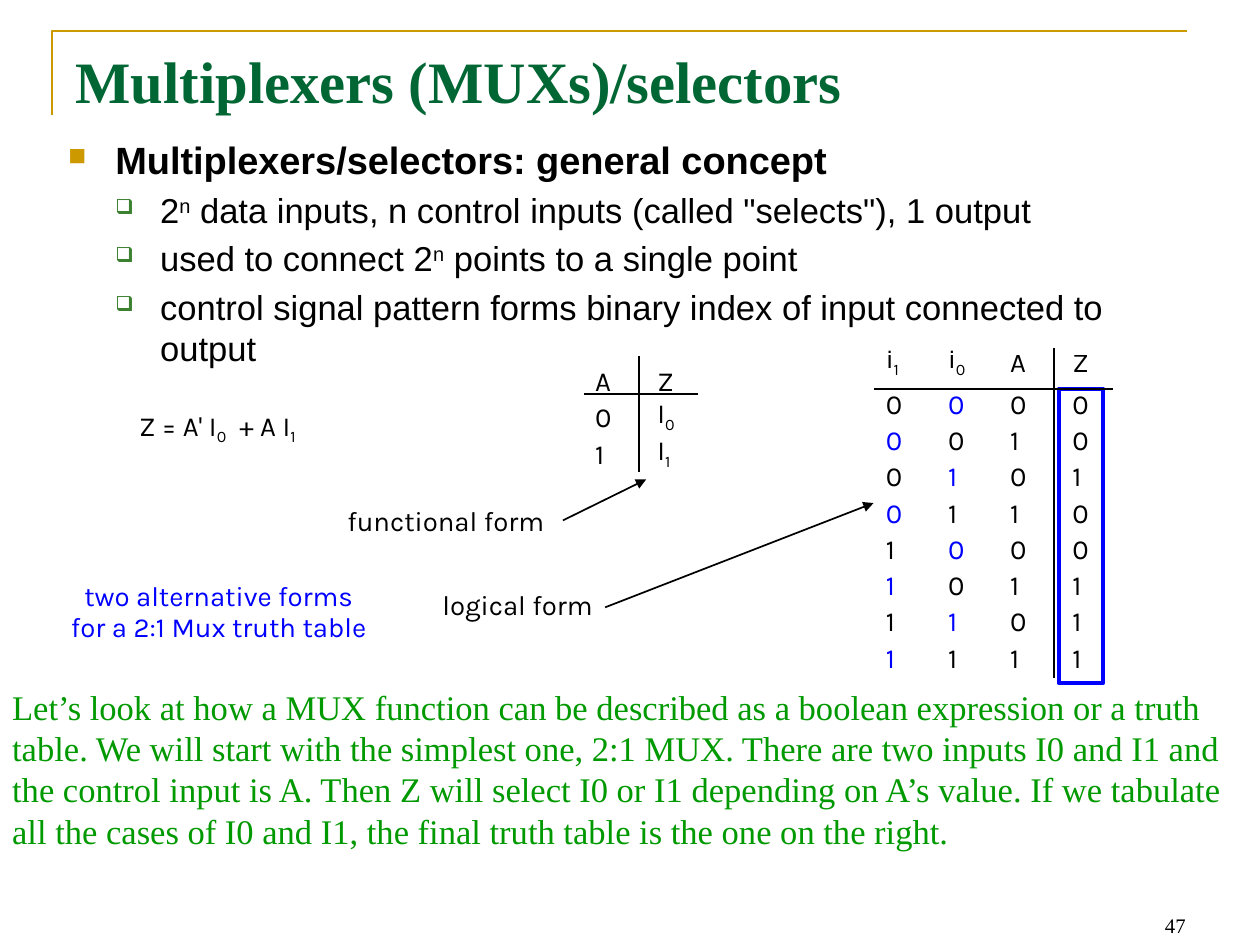
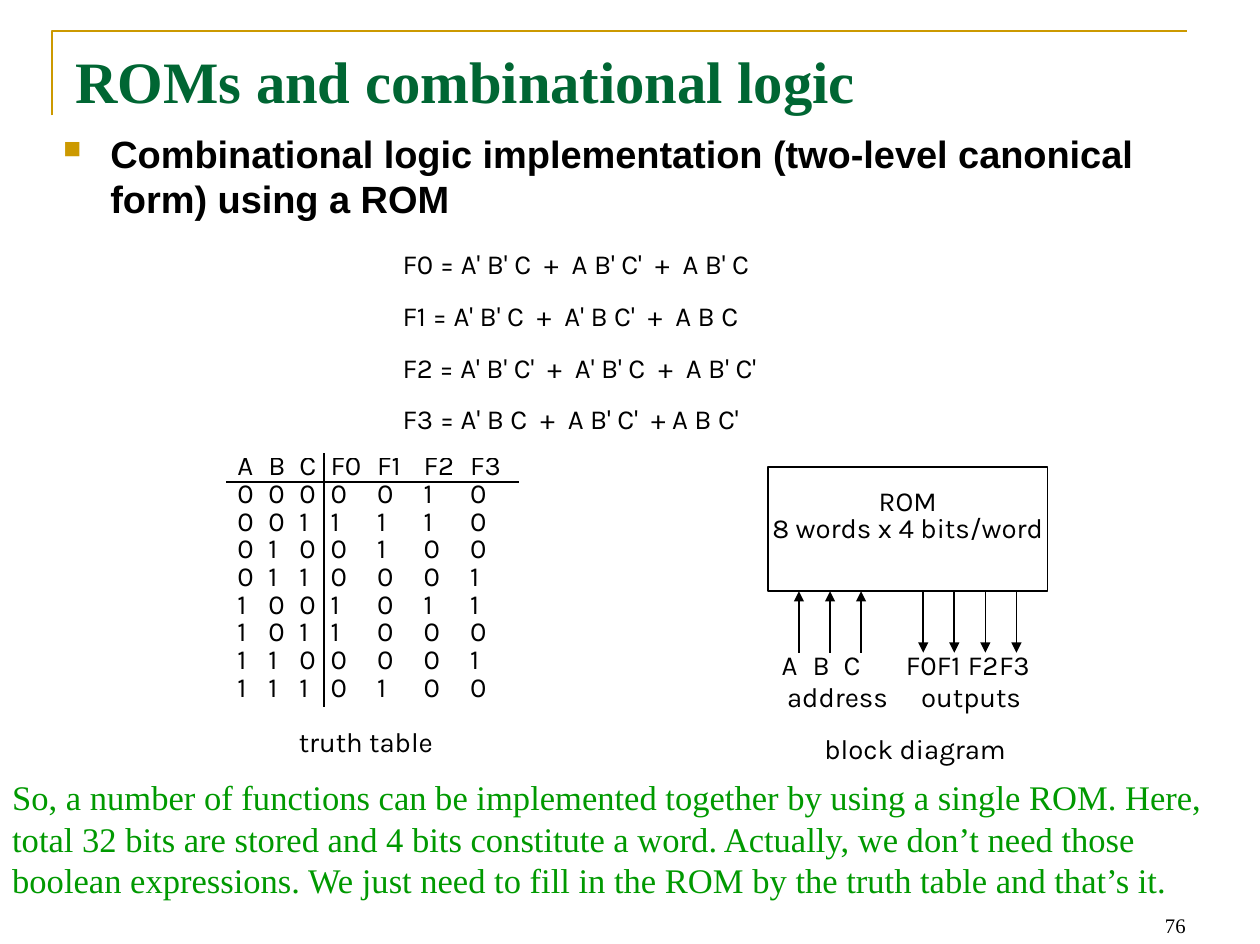
from dataclasses import dataclass, replace
from itertools import product

from lxml.etree import SubElement
from pptx import Presentation
from pptx.dml.color import RGBColor
from pptx.enum.shapes import MSO_CONNECTOR, MSO_SHAPE
from pptx.enum.text import MSO_ANCHOR, PP_ALIGN
from pptx.oxml.ns import qn
from pptx.util import Inches, Pt


@dataclass(frozen=True)
class Style:
    font: str
    size: int
    color: str
    bold: bool = False
    inset: tuple = (0.1, 0.05)  # inches
    wrap: bool = True


@dataclass(frozen=True)
class Theme:
    black: str = "000000"
    blue: str = "0000FF"
    gold: str = "CC9900"
    leaf: str = "3B812F"
    title: Style = Style("Times New Roman", 34, "006633", bold=True)
    heading: Style = Style("Arial", 22, "000000", bold=True)
    point: Style = Style("Arial", 20, "000000")
    note: Style = Style("Times New Roman", 20, "009900")
    number: Style = Style("Times New Roman", 12, "000000")
    label: Style = Style("Karla", 16, "000000", inset=(0.02, 0.03), wrap=False)


theme = Theme()
CELL = Inches(0.25)  # every position below counts columns and rows of this grid
COLUMNS, ROWS = 40.56, 30.4
LEFT, CENTER, RIGHT = PP_ALIGN.LEFT, PP_ALIGN.CENTER, PP_ALIGN.RIGHT
BASELINES = {"_": "-25000", "^": "30000"}


def write(paragraph, marked_text, style, align=LEFT, spacing=None):
    """Runs are split by |; a leading _ lowers, ^ raises and * turns a run blue."""
    paragraph.alignment = align
    if spacing:
        paragraph.line_spacing = Pt(spacing)
    for piece in marked_text.split("|"):
        mark = piece[0] if piece[0] in "_^*" else ""
        run = paragraph.add_run()
        run.text = piece[len(mark):]
        run.font.name, run.font.size, run.font.bold = style.font, Pt(style.size), style.bold
        run.font.color.rgb = RGBColor.from_string(theme.blue if mark == "*" else style.color)
        if mark in BASELINES:
            run._r.get_or_add_rPr().set("baseline", BASELINES[mark])


def add_text(slide, box, lines, style, align=LEFT, spacing=None, outline=None):
    """Text box, or a rectangle when outline gives (colour, width)."""
    place = [int(CELL * value) for value in box]
    if outline:
        shape = slide.shapes.add_shape(MSO_SHAPE.RECTANGLE, *place)
        shape.shadow.inherit = False
        shape.fill.background()
        shape.line.color.rgb = RGBColor.from_string(outline[0])
        shape.line.width = Pt(outline[1])
    else:
        shape = slide.shapes.add_textbox(*place)
    frame = shape.text_frame
    frame.word_wrap = style.wrap
    frame.vertical_anchor = MSO_ANCHOR.TOP
    frame.margin_left = frame.margin_right = Inches(style.inset[0])
    frame.margin_top = frame.margin_bottom = Inches(style.inset[1])
    for index, line in enumerate(lines):
        paragraph = frame.add_paragraph() if index else frame.paragraphs[0]
        write(paragraph, line, style, align, spacing)
    return shape


presentation = Presentation()
presentation.slide_width = int(CELL * COLUMNS)
presentation.slide_height = int(CELL * ROWS)

# Shared parts: corner rule, title, bullets, note and slide number
pages = [
    dict(
        title="Multiplexers (MUXs)/selectors",
        number="47",
        body=(1.8, 4.2),
        heading="Multiplexers/selectors: general concept",
        points=[
            '2|^n| data inputs, n control inputs (called "selects"), 1 output',
            "used to connect 2|^n| points to a single point",
            "control signal pattern forms binary index of input connected to output",
        ],
        note_top=21.88,
        note="Let’s look at how a MUX function can be described as a boolean expression "
        "or a truth table. We will start with the simplest one, 2:1 MUX. There are two "
        "inputs I0 and I1 and the control input is A. Then Z will select I0 or I1 depending "
        "on A’s value. If we tabulate all the cases of I0 and I1, the final truth table is "
        "the one on the right.",
    ),
    dict(
        title="ROMs and combinational logic",
        number="76",
        body=(1.64, 4),
        heading="Combinational logic implementation (two-level canonical form) using a ROM",
        points=[],
        note_top=24.8,
        note="So, a number of functions can be implemented together by using a single ROM. "
        "Here, total 32 bits are stored and 4 bits constitute a word. Actually, we don’t "
        "need those boolean expressions. We just need to fill in the ROM by the truth table "
        "and that’s it.",
    ),
]
for page in pages:
    slide = presentation.slides.add_slide(presentation.slide_layouts[6])
    corner = [(int(CELL * x), int(CELL * y)) for x, y in ((1.68, 3.72), (1.68, 1), (38.2, 1))]
    builder = slide.shapes.build_freeform(*corner[0])
    builder.add_line_segments(corner[1:], close=False)
    rule = builder.convert_to_shape()
    rule.shadow.inherit = False
    rule.fill.background()
    rule.line.color.rgb = RGBColor.from_string(theme.gold)
    rule.line.width = Pt(1.5)

    add_text(slide, (2.04, 1.24, 36.48, 5.04), [page["title"]], theme.title)
    number = add_text(slide, (29.08, 28.36, 9.48, 2.04), [page["number"]], theme.number, RIGHT)
    number.text_frame.vertical_anchor = MSO_ANCHOR.BOTTOM

    body = add_text(slide, (*page["body"], 36.48, 20.08), [page["heading"]], theme.heading)
    for point in page["points"]:
        paragraph = body.text_frame.add_paragraph()
        paragraph.level = 1
        paragraph.space_before = Pt(4)
        write(paragraph, point, theme.point)
    for paragraph in body.text_frame.paragraphs:
        indent, hanging, symbol, color, percent = (
            (0.74, 0.36, "❑", theme.leaf, 60) if paragraph.level
            else (0.38, 0.38, "■", theme.gold, 65)
        )
        properties = paragraph._p.get_or_add_pPr()
        properties.set("marL", str(Inches(indent)))
        properties.set("indent", str(-Inches(hanging)))
        bullet_color = SubElement(properties, qn("a:buClr"))
        SubElement(bullet_color, qn("a:srgbClr"), val=color)
        SubElement(properties, qn("a:buSzPct"), val=str(percent * 1000))
        SubElement(properties, qn("a:buChar"), char=symbol)

    add_text(slide, (0, page["note_top"], COLUMNS, 5), [page["note"]], theme.note)

mux_slide, rom_slide = presentation.slides

# Truth tables: slide, left, top, header height, column widths, row points, rows
selector_rows = [["I|_1", "I|_0", "A", "Z"]]
for high, low, control in product((0, 1), repeat=3):
    chosen = high if control else low
    selector_rows.append([
        f"*{high}" if control else str(high),
        str(low) if control else f"*{low}",
        str(control),
        str(chosen),
    ])
rom_words = ["0010", "1110", "0100", "0001", "1011", "1000", "0001", "0100"]
rom_pins = ["A", "B", "C", "F0", "F1", "F2", "F3"]
rom_rows = [rom_pins] + [list(f"{address:03b}{word}") for address, word in enumerate(rom_words)]
tables = [
    (mux_slide, 19.08, 12, 0.84, [2, 2], 21, [["A", "Z"], ["0", "I|_0"], ["1", "I|_1"]]),
    (mux_slide, 28.44, 11.4, 1, [2] * 4, 21, selector_rows),
    (rom_slide, 7.56, 14.72, 0.84, [1] * 3 + [1.5] * 4, 16, rom_rows),
]
HEADER_SPACING = 15
for slide, left, top, header_height, widths, row_points, rows in tables:
    height = int(CELL * header_height) + Pt(row_points) * (len(rows) - 1)
    table = slide.shapes.add_table(
        len(rows), len(widths), int(CELL * left), int(CELL * top),
        int(CELL * sum(widths)), height,
    ).table
    table.first_row = table.horz_banding = False
    for column, width in zip(table.columns, widths):
        column.width = int(CELL * width)
    for row_index, values in enumerate(rows):
        table.rows[row_index].height = Pt(row_points) if row_index else int(CELL * header_height)
        for column_index, value in enumerate(values):
            cell = table.cell(row_index, column_index)
            cell.fill.background()
            cell.margin_left = Inches(0.02)
            cell.margin_right = cell.margin_top = cell.margin_bottom = 0
            spacing = row_points if row_index else HEADER_SPACING
            write(cell.text_frame.paragraphs[0], value, theme.label, spacing=spacing)

# Labels: slide, box, lines, alignment, line spacing
equations = [
    "F0 = A' B' C  +  A B' C'  +  A B' C",
    "F1 = A' B' C  +  A' B C'  +  A B C",
    "F2 = A' B' C'  +  A' B' C  +  A B' C'",
    "F3 = A' B C  +  A B' C'  + A B C'",
]
labels = [
    (mux_slide, (4.4, 13.08, 7.88, 1.84), ["Z = A' I|_0|  + A I|_1"], LEFT, 21),
    (mux_slide, (10.64, 15.72, 6.96, 2.44), ["functional form"], RIGHT, 26),
    (mux_slide, (13.2, 18.44, 5.96, 2.56), ["logical form"], RIGHT, 26),
    (rom_slide, (12.88, 7.24, 16.24, 7.24), equations, LEFT, 30),
    (rom_slide, (8.72, 23.12, 6.12, 1.72), ["truth table"], CENTER, 21),
    (rom_slide, (25.6, 23.36, 7.72, 1.72), ["block diagram"], CENTER, 21),
    (rom_slide, (24.6, 21.96, 4.72, 1.44), ["address"], CENTER, 16),
    (rom_slide, (29.04, 21.96, 4.44, 1.44), ["outputs"], CENTER, 16),
]
for slide, box, lines, align, spacing in labels:
    add_text(slide, box, lines, theme.label, align, spacing)
add_text(mux_slide, (0.6, 18.6, 12.88, 2.68),
         ["two alternative forms", "for a 2:1 Mux truth table"],
         replace(theme.label, color=theme.blue), CENTER, 18)

# Result column frame and ROM block
add_text(mux_slide, (34.08, 12.52, 1.44, 9.48), [], theme.label, outline=(theme.blue, 2.25))
add_text(rom_slide, (24.72, 15.04, 9, 4), ["ROM", "8 words x 4 bits/word"],
         replace(theme.label, inset=(0, 0.18)), CENTER, 16, outline=(theme.black, 1))

# Pin names, one grid column apart with a gap between inputs and outputs
pin_slots = [0, 1, 2, 4, 5, 6, 7]
pins = add_text(rom_slide, (25.08, 20.92, 8.76, 1.44), ["\t".join(rom_pins)],
                theme.label, spacing=16)
tab_list = SubElement(pins.text_frame.paragraphs[0]._p.get_or_add_pPr(), qn("a:tabLst"))
for slot in pin_slots[1:]:
    SubElement(tab_list, qn("a:tab"), pos=str(CELL * slot), algn="l")

# Lines: slide, start, end, arrowhead
lines = [
    (mux_slide, (20.56, 11.48), (20.56, 15.2), False),
    (mux_slide, (18.8, 12.68), (22.48, 12.68), False),
    (mux_slide, (33.92, 11.2), (33.92, 21.84), False),
    (mux_slide, (28.12, 12.52), (35.84, 12.52), False),
    (mux_slide, (18.12, 16.76), (20.8, 15.44), True),
    (mux_slide, (19.48, 19.56), (28.12, 16.2), True),
    (rom_slide, (7.28, 15.52), (16.72, 15.52), False),
    (rom_slide, (10.44, 14.6), (10.44, 22.76), False),
]
for slot in pin_slots:
    block_end, pin_end = (25.72 + slot, 19.04), (25.72 + slot, 21.02)
    start, end = (pin_end, block_end) if slot < 3 else (block_end, pin_end)
    lines.append((rom_slide, start, end, True))
for slide, start, end, arrow in lines:
    ends = [int(CELL * value) for value in (*start, *end)]
    connector = slide.shapes.add_connector(MSO_CONNECTOR.STRAIGHT, *ends)
    connector.line.color.rgb = RGBColor.from_string(theme.black)
    connector.line.width = Pt(1)
    if arrow:
        SubElement(connector.line._get_or_add_ln(), qn("a:tailEnd"), type="triangle")
    SubElement(connector._element.spPr, qn("a:effectLst"))

presentation.save("out.pptx")
